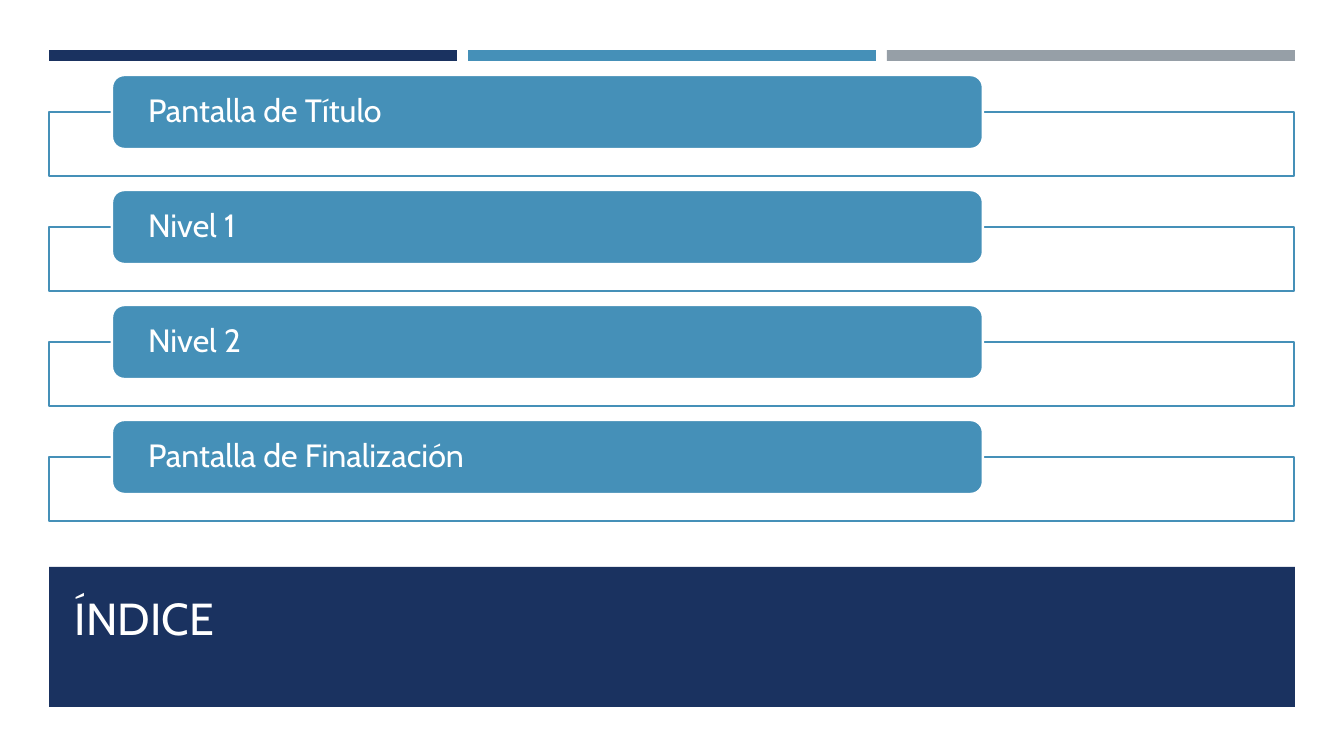
from pptx import Presentation
from pptx.dml.color import RGBColor
from pptx.enum.shapes import MSO_SHAPE
from pptx.enum.text import MSO_ANCHOR, PP_ALIGN
from pptx.util import Emu, Pt

NAVY, BLUE, GREY, WHITE = "1A3260", "4590B8", "969FA7", "FFFFFF"


def px(n):
    return Emu(round(n * 914400 / 100.8))


def color(code):
    return RGBColor.from_string(code)


class Deck:
    """Holds the style and the current slide, and draws each kind of element."""

    font = "Cabin"
    line = Pt(1.75)

    def __init__(self, wide, high):
        self.file = Presentation()
        self.file.slide_width, self.file.slide_height = px(wide), px(high)
        self.slide = self.file.slides.add_slide(self.file.slide_layouts[6])

    def box(self, x, y, w, h, fill, edge=None, kind=MSO_SHAPE.RECTANGLE):
        shape = self.slide.shapes.add_shape(kind, px(x), px(y), px(w), px(h))
        shape.shadow.inherit = False
        shape.fill.solid()
        shape.fill.fore_color.rgb = color(fill)
        if edge:
            shape.line.color.rgb = color(edge)
            shape.line.width = self.line
        else:
            shape.line.fill.background()
        return shape

    def text(self, x, y, w, h, words, size, side, top, space=1.0):
        frame = self.slide.shapes.add_textbox(px(x), px(y), px(w), px(h)).text_frame
        frame.word_wrap = True
        frame.vertical_anchor = MSO_ANCHOR.MIDDLE
        frame.margin_left = frame.margin_right = px(side)
        frame.margin_top = frame.margin_bottom = px(top)
        para = frame.paragraphs[0]
        para.alignment = PP_ALIGN.LEFT
        para.line_spacing = space
        run = para.add_run()
        run.text = words
        run.font.name = self.font
        run.font.size = Pt(size)
        run.font.color.rgb = color(WHITE)

    def entry(self, y, words):
        self.box(49, y + 37, 1245, 64, WHITE, BLUE)
        self.box(112, y, 871, 74, BLUE, WHITE, MSO_SHAPE.ROUNDED_RECTANGLE)
        self.text(115, y + 4, 864, 67, words, 23, 33, 0, 0.9)


def main():
    deck = Deck(1344, 756)
    for i, tone in enumerate((NAVY, BLUE, GREY)):
        deck.box(49 + 419 * i, 50, 408, 11, tone)
    deck.box(49, 567, 1246, 140, NAVY)
    deck.text(65, 580, 541, 76, "ÍNDICE", 32, 10, 5)
    items = ("Pantalla de Título", "Nivel 1", "Nivel 2", "Pantalla de Finalización")
    for i, words in enumerate(items):
        deck.entry(75 + 115 * i, words)
    deck.file.save("out.pptx")


if __name__ == "__main__":
    main()
